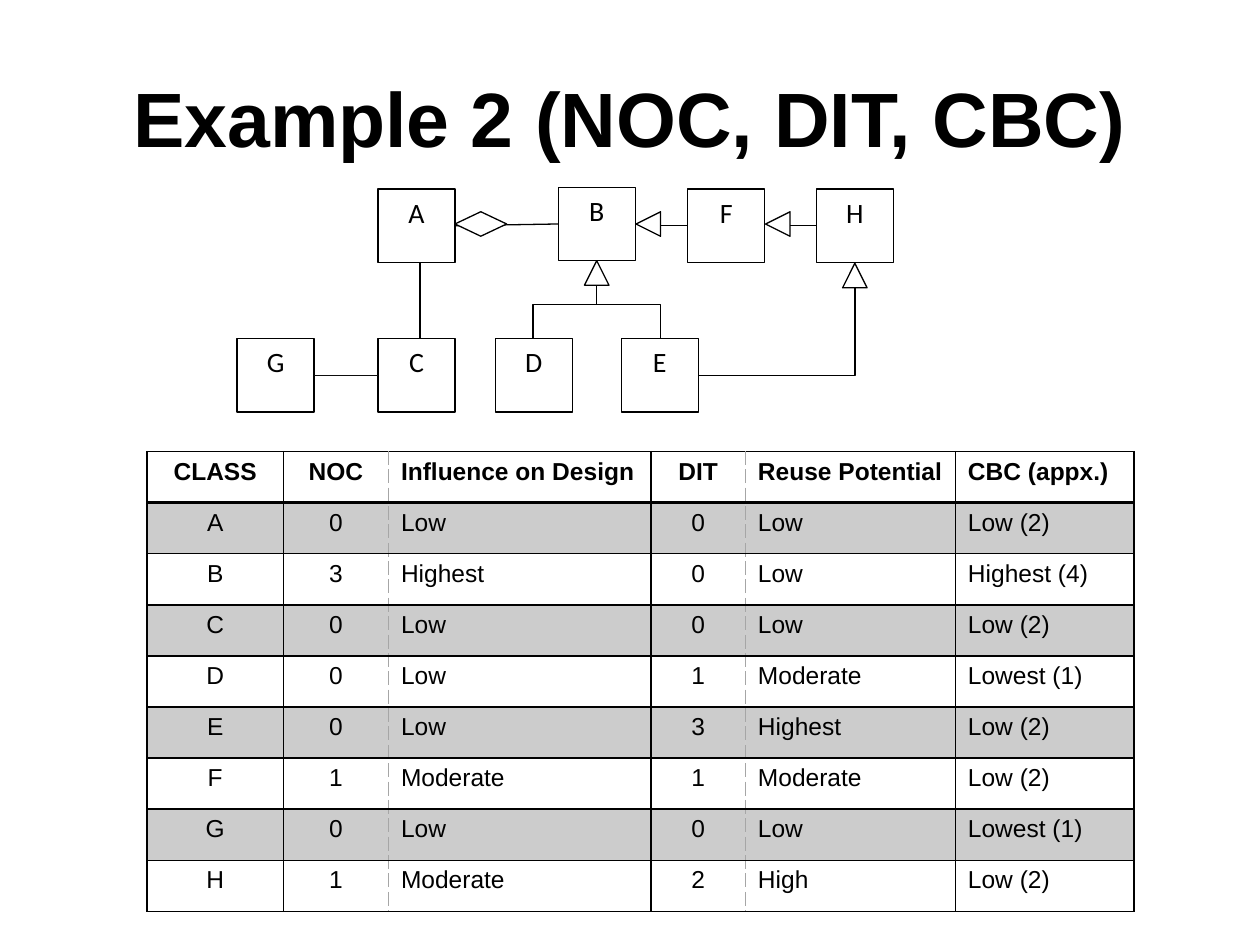
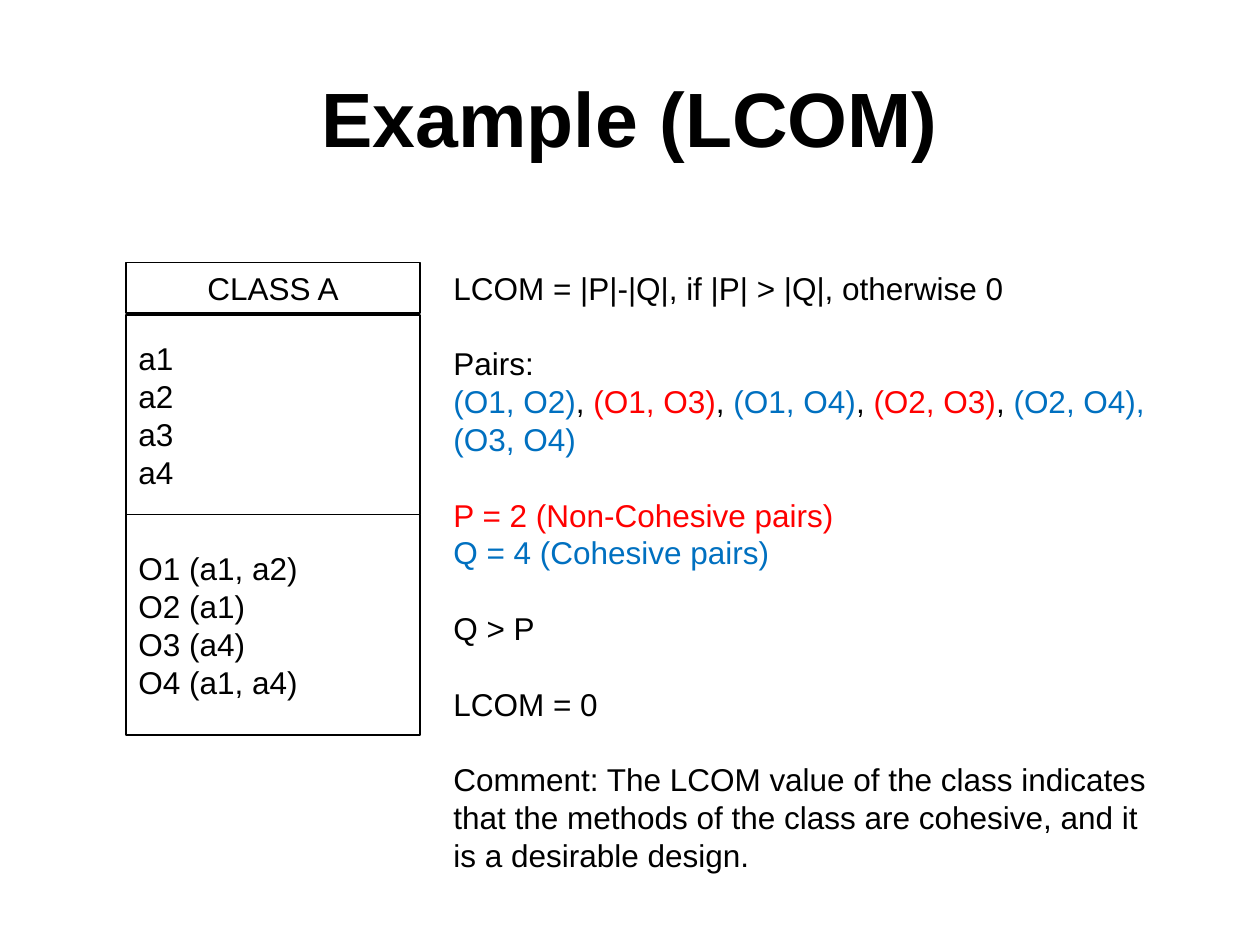
"""Build two slides on object-oriented design metrics: NOC, DIT, CBC and LCOM."""
from dataclasses import dataclass

from lxml import etree
from pptx import Presentation
from pptx.dml.color import RGBColor
from pptx.enum.shapes import MSO_CONNECTOR, MSO_SHAPE
from pptx.enum.text import MSO_ANCHOR, PP_ALIGN
from pptx.oxml.ns import qn
from pptx.util import Pt

STRAIGHT, ELBOW = MSO_CONNECTOR.STRAIGHT, MSO_CONNECTOR.ELBOW
RECTANGLE = MSO_SHAPE.RECTANGLE
DIAMOND = MSO_SHAPE.FLOWCHART_DECISION
TRIANGLE = MSO_SHAPE.FLOWCHART_EXTRACT
TOP, MIDDLE = MSO_ANCHOR.TOP, MSO_ANCHOR.MIDDLE
LEFT, CENTER = PP_ALIGN.LEFT, PP_ALIGN.CENTER
SITE_LEFT, SITE_BOTTOM, SITE_RIGHT = 1, 2, 3

COLORS = {
    "ink": "000000",
    "soft": "0D0D0D",
    "paper": "FFFFFF",
    "divider": "A6A6A6",
    "cohesive": "0070C0",
    "separate": "FF0000",
}
HEADING_FONT, NODE_FONT = "Arial", "Calibri"
NODE_WIDTH, NODE_HEIGHT, ARROW_SIZE = 44, 42, 14
LINE_PITCH = 21.6


@dataclass(frozen=True)
class Span:
    text: str
    color: str = "ink"


@dataclass(frozen=True)
class TextStyle:
    size: float
    font: str = HEADING_FONT
    bold: bool = False
    align: PP_ALIGN = LEFT
    pitch: float | None = None


@dataclass(frozen=True)
class Line:
    spans: tuple[Span, ...]
    gap: bool = False


@dataclass(frozen=True)
class ClassNode:
    name: str
    left: float
    top: float


@dataclass(frozen=True)
class Compartment:
    top: float
    height: float
    lines: tuple[str, ...]
    anchor: MSO_ANCHOR = MIDDLE
    align: PP_ALIGN = LEFT


TITLE = TextStyle(44, bold=True, align=CENTER)
NODE_LABEL = TextStyle(16, NODE_FONT, align=CENTER)

CLASS_NODES = (
    ClassNode("A", 216, 108),
    ClassNode("B", 319, 107),
    ClassNode("F", 393, 108),
    ClassNode("H", 466.5, 108),
    ClassNode("G", 135.5, 193.5),
    ClassNode("C", 216, 193.5),
    ClassNode("D", 283, 193.5),
    ClassNode("E", 355, 193.5),
)

METRICS = (
    ("CLASS", "NOC", "Influence on Design", "DIT", "Reuse Potential", "CBC (appx.)"),
    ("A", "0", "Low", "0", "Low", "Low (2)"),
    ("B", "3", "Highest", "0", "Low", "Highest (4)"),
    ("C", "0", "Low", "0", "Low", "Low (2)"),
    ("D", "0", "Low", "1", "Moderate", "Lowest (1)"),
    ("E", "0", "Low", "3", "Highest", "Low (2)"),
    ("F", "1", "Moderate", "1", "Moderate", "Low (2)"),
    ("G", "0", "Low", "0", "Low", "Lowest (1)"),
    ("H", "1", "Moderate", "2", "High", "Low (2)"),
)
COLUMN_WIDTHS = (78, 60, 150, 54, 120, 102)
CENTERED_COLUMNS = (0, 1, 3)
DASHED_AFTER = (1, 3)
ROW_HEIGHT = 29.2

CLASS_A = (
    Compartment(150, 29, ("CLASS A",), TOP, CENTER),
    Compartment(180, 114, ("a1", "a2", "a3", "a4")),
    Compartment(294, 126, ("O1 (a1, a2)", "O2 (a1)", "O3 (a4)", "O4 (a1, a4)")),
)

COMMA = Span(", ")
LCOM_LINES = (
    Line((Span("LCOM = |P|-|Q|, if |P| > |Q|, otherwise 0"),)),
    Line((Span("Pairs:"),), gap=True),
    Line((
        Span("(O1, O2)", "cohesive"), COMMA,
        Span("(O1, O3)", "separate"), COMMA,
        Span("(O1, O4)", "cohesive"), COMMA,
        Span("(O2, O3)", "separate"), COMMA,
        Span("(O2, O4), (O3, O4)", "cohesive"),
    )),
    Line((Span("P = 2 (Non-Cohesive pairs)", "separate"),), gap=True),
    Line((Span("Q = 4 (Cohesive pairs)", "cohesive"),)),
    Line((Span("Q > P"),), gap=True),
    Line((Span("LCOM = 0"),), gap=True),
    Line((Span("Comment: The LCOM value of the class indicates that the methods "
               "of the class are cohesive, and it is a desirable design."),), gap=True),
)


def rgb(color: str) -> RGBColor:
    return RGBColor.from_string(COLORS[color])


def write(frame, lines: tuple[Line, ...], style: TextStyle) -> None:
    for index, line in enumerate(lines):
        paragraph = frame.add_paragraph() if index else frame.paragraphs[0]
        paragraph.alignment = style.align
        if style.pitch:
            paragraph.line_spacing = Pt(style.pitch)
        if line.gap:
            paragraph.space_before = Pt(LINE_PITCH)
        for span in line.spans:
            run = paragraph.add_run()
            run.text = span.text
            run.font.name = style.font
            run.font.size = Pt(style.size)
            run.font.bold = style.bold
            run.font.color.rgb = rgb(span.color)


def plain(*texts: str) -> tuple[Line, ...]:
    return tuple(Line((Span(text),)) for text in texts)


def add_text(slide, left: float, top: float, width: float, height: float,
             lines: tuple[Line, ...], style: TextStyle, anchor: MSO_ANCHOR = TOP) -> None:
    frame = slide.shapes.add_textbox(Pt(left), Pt(top), Pt(width), Pt(height)).text_frame
    frame.word_wrap = True
    frame.vertical_anchor = anchor
    write(frame, lines, style)


def add_titled_slide(deck, title: str):
    slide = deck.slides.add_slide(deck.slide_layouts[6])
    add_text(slide, 36, 21.6, 648, 90, plain(title), TITLE, MIDDLE)
    return slide


def add_outlined(slide, kind: MSO_SHAPE, left: float, top: float, width: float,
                 height: float, weight: float = 0.75):
    shape = slide.shapes.add_shape(kind, Pt(left), Pt(top), Pt(width), Pt(height))
    shape.shadow.inherit = False
    shape.fill.solid()
    shape.fill.fore_color.rgb = rgb("paper")
    shape.line.color.rgb = rgb("ink")
    shape.line.width = Pt(weight)
    return shape


def add_inheritance_arrow(slide, left: float, top: float, rotation: float = 0):
    arrow = add_outlined(slide, TRIANGLE, left, top, ARROW_SIZE, ARROW_SIZE)
    arrow.rotation = rotation
    return arrow


def add_link(slide, start: tuple[float, float] = (0, 0), end: tuple[float, float] = (0, 0),
             source=None, target=None, color: str = "ink", kind: MSO_CONNECTOR = STRAIGHT):
    link = slide.shapes.add_connector(kind, *(Pt(value) for value in (*start, *end)))
    if source:
        link.begin_connect(*source)
    if target:
        link.end_connect(*target)
    link.line.color.rgb = rgb(color)
    link.line.width = Pt(0.75)
    etree.SubElement(link._element.spPr, qn("a:effectLst"))
    return link


def add_fork(slide, left: float, right: float, top: float, bottom: float) -> None:
    builder = slide.shapes.build_freeform(Pt(left), Pt(bottom))
    corners = ((left, top), (right, top), (right, bottom))
    builder.add_line_segments([(Pt(x), Pt(y)) for x, y in corners], close=False)
    fork = builder.convert_to_shape()
    fork.shadow.inherit = False
    fork.fill.background()
    fork.line.color.rgb = rgb("ink")
    fork.line.width = Pt(0.75)


def add_class_diagram(slide) -> None:
    nodes = {}
    for node in CLASS_NODES:
        box = add_outlined(slide, RECTANGLE, node.left, node.top, NODE_WIDTH, NODE_HEIGHT)
        box.text_frame.vertical_anchor = TOP
        write(box.text_frame, plain(node.name), NODE_LABEL)
        nodes[node.name] = box

    add_link(slide, source=(nodes["A"], SITE_RIGHT), target=(nodes["B"], SITE_LEFT))
    add_outlined(slide, DIAMOND, 260, 121, 29.5, 14)
    add_link(slide, (240, 150), (240, 193.5))
    add_link(slide, source=(nodes["C"], SITE_LEFT), target=(nodes["G"], SITE_RIGHT),
             color="soft")

    for child, arrow_left in (("F", 363.5), ("H", 437.5)):
        add_inheritance_arrow(slide, arrow_left, 121, 270)
        add_link(slide, start=(arrow_left + ARROW_SIZE, 129),
                 target=(nodes[child], SITE_LEFT))

    add_inheritance_arrow(slide, 334, 149)
    add_link(slide, (341, 163), (341, 174))
    add_fork(slide, 304.5, 377.5, 174, 193.5)

    reuse_arrow = add_inheritance_arrow(slide, 481.5, 150.5)
    bend = add_link(slide, source=(nodes["E"], SITE_RIGHT),
                    target=(reuse_arrow, SITE_BOTTOM), kind=ELBOW)
    bend._element.spPr.find(qn("a:prstGeom")).set("prst", "bentConnector2")


def add_border(cell, side: str, weight: float, dashed: bool = False) -> None:
    border = etree.SubElement(cell._tc.get_or_add_tcPr(), qn(f"a:ln{side}"), w=str(Pt(weight)))
    fill = etree.SubElement(border, qn("a:solidFill"))
    etree.SubElement(fill, qn("a:srgbClr"), val=COLORS["divider" if dashed else "ink"])
    etree.SubElement(border, qn("a:prstDash"), val="lgDash" if dashed else "solid")


def add_metrics_table(slide) -> None:
    table = slide.shapes.add_table(
        len(METRICS), len(COLUMN_WIDTHS), Pt(84), Pt(258),
        Pt(sum(COLUMN_WIDTHS)), Pt(ROW_HEIGHT * len(METRICS))).table
    table.first_row = False
    table.horz_banding = False
    for column, width in zip(table.columns, COLUMN_WIDTHS):
        column.width = Pt(width)
    for row_index, values in enumerate(METRICS):
        table.rows[row_index].height = Pt(ROW_HEIGHT)
        for column_index, value in enumerate(values):
            cell = table.cell(row_index, column_index)
            add_border(cell, "L", 1, column_index - 1 in DASHED_AFTER)
            add_border(cell, "R", 1, column_index in DASHED_AFTER)
            add_border(cell, "T", 2 if row_index == 1 else 1)
            add_border(cell, "B", 2 if row_index == 0 else 1)
            if row_index % 2:
                cell.fill.solid()
                cell.fill.fore_color.rgb = rgb("ink")
                tint = cell._tc.tcPr.find(qn("a:solidFill")).find(qn("a:srgbClr"))
                etree.SubElement(tint, qn("a:alpha"), val="20000")
            else:
                cell.fill.background()
            align = CENTER if column_index in CENTERED_COLUMNS else LEFT
            write(cell.text_frame, plain(value),
                  TextStyle(14, bold=row_index == 0, align=align))


def add_class_card(slide) -> None:
    for part in CLASS_A:
        box = add_outlined(slide, RECTANGLE, 72, part.top, 168, part.height, 1)
        box.text_frame.vertical_anchor = part.anchor
        write(box.text_frame, plain(*part.lines),
              TextStyle(18, align=part.align, pitch=LINE_PITCH))


def main() -> None:
    deck = Presentation()
    deck.slide_width, deck.slide_height = Pt(720), Pt(540)

    inheritance = add_titled_slide(deck, "Example 2 (NOC, DIT, CBC)")
    add_class_diagram(inheritance)
    add_metrics_table(inheritance)

    cohesion = add_titled_slide(deck, "Example (LCOM)")
    add_class_card(cohesion)
    add_text(cohesion, 252, 150, 414, 356, LCOM_LINES, TextStyle(18, pitch=LINE_PITCH))

    deck.save("out.pptx")


if __name__ == "__main__":
    main()
